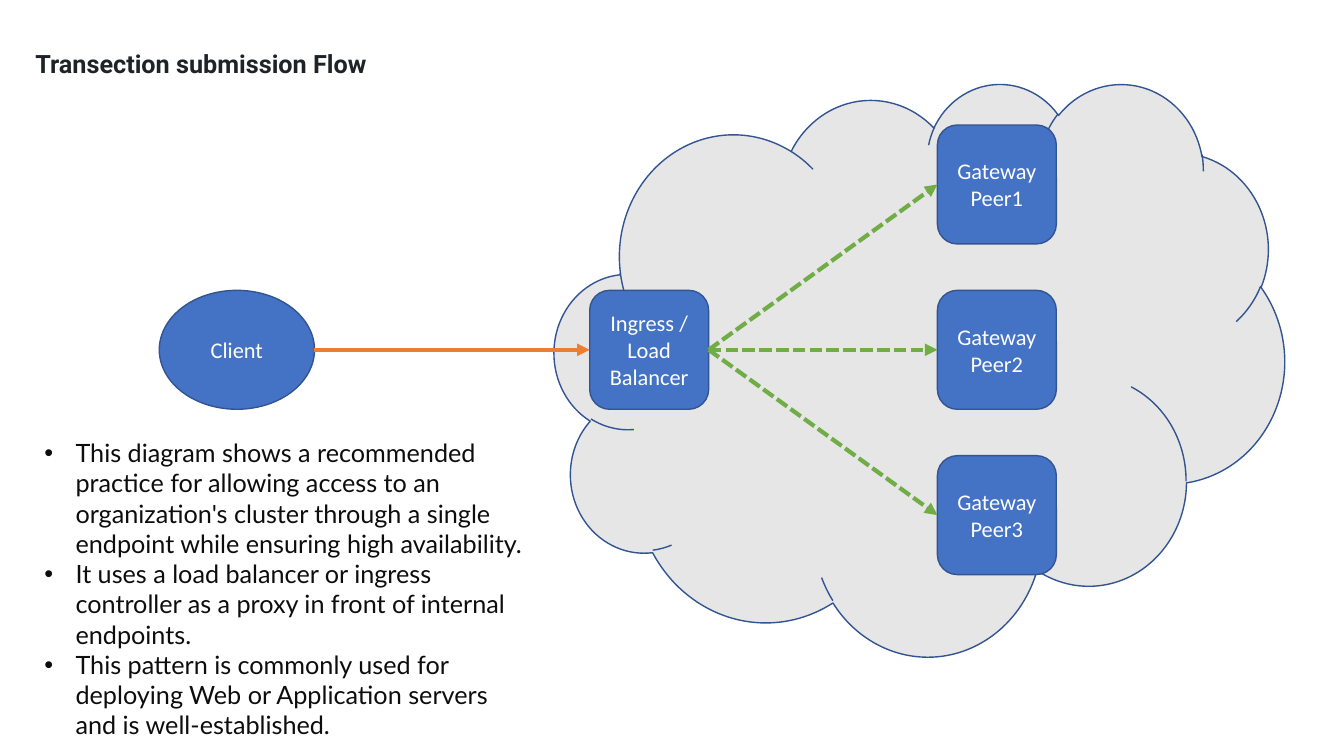
import pptx
import pptx.util
import pptx.dml.color
import pptx.enum.dml
import pptx.enum.shapes
import pptx.enum.text
import pptx.oxml.ns
import lxml.etree

WIDTH, HEIGHT = pptx.util.Inches(13.33), pptx.util.Inches(7.5)
COLORS = {
    "cloud": "E7E6E6", "node": "4472C4", "outline": "325491", "label": "FFFFFF",
    "request": "ED7D31", "routing": "70AD47", "heading": "1F2328", "body": "0D0D0D",
}
SHAPES = pptx.enum.shapes.MSO_SHAPE
ALIGN = pptx.enum.text.PP_ALIGN
ANCHOR = pptx.enum.text.MSO_ANCHOR
DASH = pptx.enum.dml.MSO_LINE

MIDDLE_ROW, ROW_PITCH = 46.27, 21.87
TILE_WIDTH, TILE_HEIGHT = 8.85, 15.73
CLIENT_LEFT, CLIENT_WIDTH = 11.85, 11.55
INGRESS_LEFT, GATEWAY_LEFT = 43.88, 69.75

HEADING = "Transection submission Flow"
POINTS = [
    "This diagram shows a recommended practice for allowing access to an "
    "organization's cluster through a single endpoint while ensuring high availability.",
    "It uses a load balancer or ingress controller as a proxy in front of internal endpoints.",
    "This pattern is commonly used for deploying Web or Application servers "
    "and is well-established.",
]


def across(percent):
    return round(WIDTH * percent / 100)


def down(percent):
    return round(HEIGHT * percent / 100)


def rgb(role):
    return pptx.dml.color.RGBColor.from_string(COLORS[role])


def apply(target, values):
    for attribute, value in values.items():
        setattr(target, attribute, value)


def add_xml(parent, tag, **attributes):
    return lxml.etree.SubElement(parent, pptx.oxml.ns.qn(tag), attributes)


def write(frame, lines, role, font, paragraph_format):
    frame.text = "\n".join(lines)
    for paragraph in frame.paragraphs:
        apply(paragraph, paragraph_format)
        for run in paragraph.runs:
            apply(run.font, font)
            run.font.color.rgb = rgb(role)


def add_filled(slide, kind, left, top, width, height, role):
    outline = slide.shapes.add_shape(
        kind, across(left), down(top), across(width), down(height))
    outline.shadow.inherit = False
    outline.fill.solid()
    outline.fill.fore_color.rgb = rgb(role)
    outline.line.color.rgb = rgb("outline")
    outline.line.width = pptx.util.Pt(1)
    return outline


def add_node(slide, kind, left, row, width, lines):
    top = MIDDLE_ROW + row * ROW_PITCH - TILE_HEIGHT / 2
    node = add_filled(slide, kind, left, top, width, TILE_HEIGHT, "node")
    node.text_frame.vertical_anchor = ANCHOR.MIDDLE
    write(node.text_frame, lines, "label",
          {"name": "Calibri", "size": pptx.util.Pt(16)}, {"alignment": ALIGN.CENTER})
    return node


def add_arrow(slide, source, target, role, dash=None):
    arrow = slide.shapes.add_connector(
        pptx.enum.shapes.MSO_CONNECTOR.STRAIGHT,
        source.left + source.width, source.top + source.height // 2,
        target.left, target.top + target.height // 2)
    if source.auto_shape_type == SHAPES.ROUNDED_RECTANGLE:
        arrow.begin_connect(source, 3)
    arrow.end_connect(target, 1)
    arrow.line.color.rgb = rgb(role)
    apply(arrow.line, {"width": pptx.util.Pt(3), "dash_style": dash})
    add_xml(arrow.line._get_or_add_ln(), "a:tailEnd", type="triangle")
    add_xml(arrow._element.spPr, "a:effectLst")


def fill_placeholder(placeholder, left, top, width, height, lines, role, font):
    apply(placeholder, {"left": across(left), "top": down(top),
                        "width": across(width), "height": down(height)})
    write(placeholder.text_frame, lines, role, font,
          {"alignment": ALIGN.LEFT, "space_before": pptx.util.Pt(0)})
    apply(placeholder.text_frame, {
        "word_wrap": True, "vertical_anchor": ANCHOR.TOP,
        "auto_size": pptx.enum.text.MSO_AUTO_SIZE.NONE})


def add_bullets(frame):
    indent = pptx.util.Inches(0.31)
    for paragraph in frame.paragraphs:
        properties = paragraph._p.get_or_add_pPr()
        properties.set("marL", str(indent))
        properties.set("indent", str(-indent))
        add_xml(properties, "a:buFont", typeface="Arial")
        add_xml(properties, "a:buChar", char="•")


def main():
    deck = pptx.Presentation()
    apply(deck, {"slide_width": WIDTH, "slide_height": HEIGHT})
    slide = deck.slides.add_slide(deck.slide_layouts[1])

    heading, explanation = slide.placeholders
    fill_placeholder(heading, 1.88, 5.73, 26.63, 9.47, [HEADING], "heading",
                     {"name": "Roboto", "size": pptx.util.Pt(18), "bold": True})
    fill_placeholder(explanation, 2.55, 57.2, 37.73, 45.73, POINTS, "body",
                     {"name": "Lato", "size": pptx.util.Pt(18)})
    add_bullets(explanation.text_frame)

    add_filled(slide, SHAPES.CLOUD, 41.26, 10.93, 54.31, 75.73, "cloud")
    client = add_node(slide, SHAPES.OVAL, CLIENT_LEFT, 0, CLIENT_WIDTH, ["Client"])
    ingress = add_node(slide, SHAPES.ROUNDED_RECTANGLE, INGRESS_LEFT, 0, TILE_WIDTH,
                       ["Ingress /", "Load", "Balancer"])
    add_arrow(slide, client, ingress, "request")
    for number, row in enumerate((-1, 0, 1), start=1):
        gateway = add_node(slide, SHAPES.ROUNDED_RECTANGLE, GATEWAY_LEFT, row, TILE_WIDTH,
                           ["Gateway", f"Peer{number}"])
        add_arrow(slide, ingress, gateway, "routing", DASH.SQUARE_DOT)

    deck.save("out.pptx")


if __name__ == "__main__":
    main()
